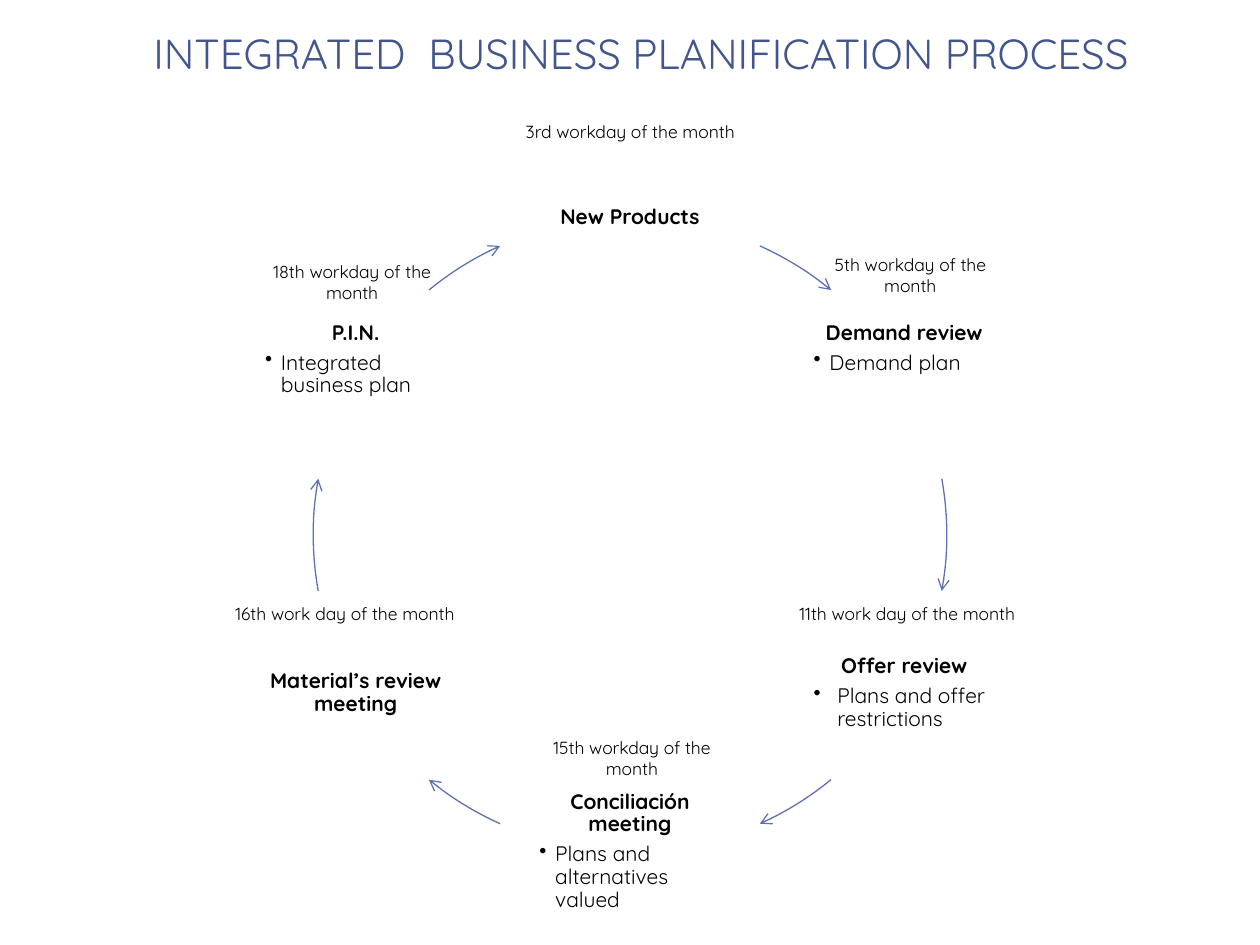
from dataclasses import dataclass
from math import cos, radians, sin

from lxml import etree
from pptx import Presentation
from pptx.dml.color import RGBColor
from pptx.enum.shapes import MSO_SHAPE
from pptx.enum.text import MSO_ANCHOR, MSO_AUTO_SIZE, PP_ALIGN
from pptx.oxml.ns import qn
from pptx.util import Pt

ARC, ROUND = MSO_SHAPE.ARC, MSO_SHAPE.ROUNDED_RECTANGLE
TOP, MIDDLE = MSO_ANCHOR.TOP, MSO_ANCHOR.MIDDLE
LEFT, CENTER = PP_ALIGN.LEFT, PP_ALIGN.CENTER
FIXED, GROW = MSO_AUTO_SIZE.NONE, MSO_AUTO_SIZE.SHAPE_TO_FIT_TEXT


@dataclass(frozen=True)
class Theme:
    font: str = "Quicksand"
    paper: RGBColor = RGBColor(0xFF, 0xFF, 0xFF)
    ink: RGBColor = RGBColor(0, 0, 0)
    title: RGBColor = RGBColor(0x42, 0x56, 0x8D)
    arrow: RGBColor = RGBColor(0x5C, 0x72, 0xB2)
    title_size: float = 24
    card_size: float = 12
    date_size: float = 10


@dataclass(frozen=True)
class Step:
    head: str
    item: str
    start: float  # arrow to the next step, in degrees
    end: float
    anchor: MSO_ANCHOR = MIDDLE
    indent: float = 9
    after: float = 1.8


@dataclass(frozen=True)
class Date:
    text: str
    left: float
    top: float
    width: float
    height: float
    align: PP_ALIGN = CENTER


THEME = Theme()

# Ring that carries the steps, in points
MID_X, MID_Y, RADIUS = 360, 305.6, 181
CARD_W, CARD_H = 118, 76.7

# Steps run clockwise from the top
STEPS = [
    Step("New Products", "", 294.2, 309.4),
    Step("Demand review", "Demand plan", 349.8, 10.2, TOP),
    Step("Offer review", "Plans and offer restrictions", 50.6, 65.8,
         indent=13.5, after=4.2),
    Step("Conciliación meeting", "Plans and alternatives valued", 114.2, 129.4),
    Step("Material’s review meeting", "", 169.8, 190.2),
    Step("P.I.N.", "Integrated business plan", 230.6, 245.8, TOP),
]

DATES = [
    Date("3rd workday of the month", 286.3, 65.5, 147.6, 19.4),
    Date("5th workday of the month", 462.2, 141.8, 116, 31.7),
    Date("11th work day of the month", 427.7, 341.3, 181.4, 19.4),
    Date("15th workday of the month", 304.6, 417.6, 113, 31.7),
    Date("16th work day of the month", 127.4, 341.3, 158.4, 19.4, LEFT),
    Date("18th workday of the month", 144.7, 145.4, 113, 31.7),
]


def write(para, text: str, size: float, color: RGBColor, bold: bool = False) -> None:
    run = para.add_run()
    run.text = text
    font = run.font
    font.name, font.size, font.bold = THEME.font, Pt(size), bold
    font.color.rgb = color


def space(para, align: PP_ALIGN, after: float) -> None:
    para.alignment = align
    para.line_spacing = 0.9
    para.space_before, para.space_after = Pt(0), Pt(after)


def bullet(para, indent: float) -> None:
    props = para._p.get_or_add_pPr()
    props.set("marL", str(Pt(indent)))
    props.set("indent", str(-Pt(indent)))
    etree.SubElement(props, qn("a:buChar")).set("char", "•")


def draw_card(slide, step: Step, angle: float) -> None:
    x = MID_X + RADIUS * cos(radians(angle)) - CARD_W / 2
    y = MID_Y + RADIUS * sin(radians(angle)) - CARD_H / 2
    card = slide.shapes.add_shape(ROUND, Pt(x), Pt(y), Pt(CARD_W), Pt(CARD_H))
    card.shadow.inherit = False
    card.fill.solid()
    card.fill.fore_color.rgb = THEME.paper
    card.line.fill.background()

    frame = card.text_frame
    frame.word_wrap = True
    frame.vertical_anchor = step.anchor
    frame.margin_left = frame.margin_right = Pt(3.5)
    frame.margin_top = frame.margin_bottom = Pt(3.5)
    para = frame.paragraphs[0]
    space(para, CENTER, 4.2)
    write(para, step.head, THEME.card_size, THEME.ink, bold=True)
    if step.item:
        para = frame.add_paragraph()
        space(para, LEFT, step.after)
        bullet(para, step.indent)
        write(para, step.item, THEME.card_size, THEME.ink)


def draw_arrow(slide, step: Step) -> None:
    arc = slide.shapes.add_shape(ARC, Pt(MID_X - RADIUS), Pt(MID_Y - RADIUS),
                                 Pt(2 * RADIUS), Pt(2 * RADIUS))
    arc.shadow.inherit = False
    arc.fill.background()
    # Angles are stored in 60000ths of a degree, adjustments in 100000ths
    arc.adjustments[0] = step.start * 0.6
    arc.adjustments[1] = step.end * 0.6
    arc.line.color.rgb = THEME.arrow
    arc.line.width = Pt(0.75)
    line = arc.line._get_or_add_ln()
    etree.SubElement(line, qn("a:tailEnd")).set("type", "arrow")


def draw_date(slide, date: Date) -> None:
    box = slide.shapes.add_textbox(Pt(date.left), Pt(date.top),
                                   Pt(date.width), Pt(date.height))
    frame = box.text_frame
    frame.word_wrap = True
    frame.auto_size = GROW
    para = frame.paragraphs[0]
    para.alignment = date.align
    write(para, date.text, THEME.date_size, THEME.ink)


def draw_title(slide, text: str) -> None:
    title = slide.shapes.title
    title.left, title.top = Pt(20.2), Pt(12.2)
    title.width, title.height = Pt(692), Pt(36)
    frame = title.text_frame
    frame.word_wrap = True
    frame.auto_size = FIXED
    frame.vertical_anchor = TOP
    para = frame.paragraphs[0]
    para.alignment = CENTER
    write(para, text, THEME.title_size, THEME.title)


def main() -> None:
    deck = Presentation()
    deck.slide_width, deck.slide_height = Pt(720), Pt(540)
    slide = deck.slides.add_slide(deck.slide_layouts[5])

    # Ring of steps and arrows
    for i, step in enumerate(STEPS):
        draw_card(slide, step, -90 + i * 360 / len(STEPS))
        draw_arrow(slide, step)

    # Dates and title
    for date in DATES:
        draw_date(slide, date)
    draw_title(slide, "INTEGRATED  BUSINESS PLANIFICATION PROCESS")

    deck.save("out.pptx")


if __name__ == "__main__":
    main()
